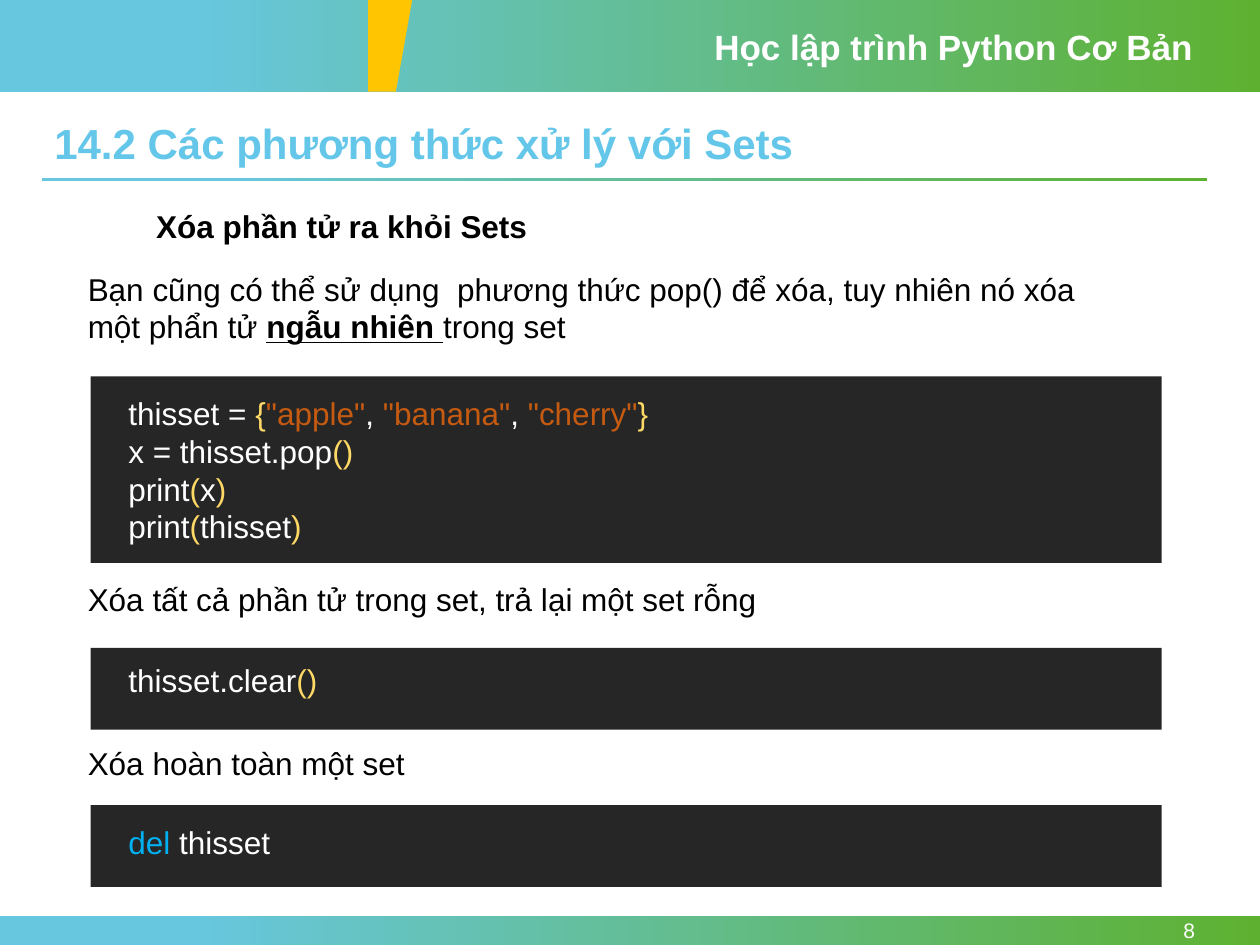
from dataclasses import dataclass

from pptx import Presentation
from pptx.dml.color import RGBColor
from pptx.enum.shapes import MSO_SHAPE
from pptx.enum.text import MSO_ANCHOR, MSO_AUTO_SIZE, PP_ALIGN
from pptx.util import Cm, Pt

RECTANGLE = MSO_SHAPE.RECTANGLE
TOP, MIDDLE = MSO_ANCHOR.TOP, MSO_ANCHOR.MIDDLE
LEFT, RIGHT = PP_ALIGN.LEFT, PP_ALIGN.RIGHT
GROW, FIXED = MSO_AUTO_SIZE.SHAPE_TO_FIT_TEXT, MSO_AUTO_SIZE.NONE
TITLE_ONLY = 5


@dataclass(frozen=True)
class Theme:
    font: str = "Arial"
    white: str = "FFFFFF"
    black: str = "000000"
    panel: str = "262626"
    accent: str = "FFC500"
    heading: str = "64C7E9"
    gradient: tuple = ((0.15, "67C7DF"), (1, "5EB130"))
    bracket: str = "FFD966"
    string: str = "C55A11"
    keyword: str = "00B0F0"
    heading_size: int = 24
    course_size: int = 20
    body_size: int = 18
    number_size: int = 12


class SlideBuilder:
    """Draws styled elements on the current slide, with lengths in centimetres."""

    def __init__(self, presentation, theme):
        self.theme = theme
        self.slide = presentation.slides.add_slide(presentation.slide_layouts[TITLE_ONLY])

    def clean(self, shape):
        shape.shadow.inherit = False
        shape.line.fill.background()

    def solid(self, shape, color):
        self.clean(shape)
        shape.fill.solid()
        shape.fill.fore_color.rgb = RGBColor.from_string(color)

    def rectangle(self, box):
        return self.slide.shapes.add_shape(RECTANGLE, *map(Cm, box))

    def band(self, box):
        shape = self.rectangle(box)
        self.clean(shape)
        shape.fill.gradient()
        shape.fill.gradient_angle = 0
        for stop, (position, color) in zip(shape.fill.gradient_stops, self.theme.gradient):
            stop.position = position
            stop.color.rgb = RGBColor.from_string(color)

    def polygon(self, points, color):
        start, *others = [(Cm(x), Cm(y)) for x, y in points]
        builder = self.slide.shapes.build_freeform(*start)
        builder.add_line_segments(others)
        self.solid(builder.convert_to_shape(), color)

    def fill_text(self, shape, lines, size, color, frame_format, paragraph_format, bold=False):
        frame = shape.text_frame
        for name, value in frame_format.items():
            setattr(frame, name, value)
        for index, line in enumerate(lines):
            paragraph = frame.add_paragraph() if index else frame.paragraphs[0]
            for name, value in paragraph_format.items():
                setattr(paragraph, name, value)
            for text, changes in line:
                run = paragraph.add_run()
                run.text = text
                values = {"name": self.theme.font, "size": Pt(size), "bold": bold} | changes
                run.font.color.rgb = RGBColor.from_string(values.pop("color", color))
                for name, value in values.items():
                    setattr(run.font, name, value)

    def title(self, box, text):
        shape = self.slide.shapes.title
        shape.left, shape.top, shape.width, shape.height = map(Cm, box)
        self.fill_text(shape, [[(text, {})]], self.theme.heading_size, self.theme.heading,
                       {"word_wrap": True, "auto_size": FIXED, "vertical_anchor": TOP},
                       {"alignment": LEFT, "line_spacing": 0.9}, bold=True)

    def text(self, box, lines, size=None, color=None, bold=False,
             anchor=TOP, align=LEFT, fit=GROW):
        shape = self.slide.shapes.add_textbox(*map(Cm, box))
        self.fill_text(shape, lines, size or self.theme.body_size, color or self.theme.black,
                       {"word_wrap": True, "auto_size": fit, "vertical_anchor": anchor},
                       {"alignment": align}, bold)

    def code(self, top, height, text_top, text_height, lines):
        self.solid(self.rectangle((1.83, top, 21.59, height)), self.theme.panel)
        self.text((2.34, text_top, 20.57, text_height), lines, color=self.theme.white)


def main():
    presentation = Presentation()
    presentation.slide_width, presentation.slide_height = Cm(25.4), Cm(19.05)
    theme = Theme()
    builder = SlideBuilder(presentation, theme)

    plain = {}
    bracket = {"color": theme.bracket}
    string = {"color": theme.string}
    keyword = {"color": theme.keyword}
    stressed = {"bold": True, "underline": True}

    for box in ((0, 0, 25.4, 1.85), (0, 18.47, 25.4, 0.58), (0.84, 3.58, 23.5, 0.08)):
        builder.band(box)
    builder.polygon([(7.42, 0), (8.31, 0), (7.98, 1.85), (7.42, 1.85)], theme.accent)
    builder.text((14.15, 0.38, 10.16, 1.12), [[("Học lập trình Python Cơ Bản", plain)]],
                 theme.course_size, theme.white, bold=True)
    builder.text((22, 18.47, 2.34, 0.58), [[("8", plain)]], theme.number_size,
                 theme.white, anchor=MIDDLE, align=RIGHT, fit=FIXED)

    builder.title((0.84, 2.36, 23.5, 1.17), "14.2 Các phương thức xử lý với Sets")
    builder.text((2.9, 4.04, 17.86, 1.02), [[("Xóa phần tử ra khỏi Sets", plain)]], bold=True)

    explanations = (
        (5.31, 1.8, [
            ("Bạn cũng có thể sử dụng  phương thức pop() để xóa, "
             "tuy nhiên nó xóa một phẩn tử ", plain),
            ("ngẫu nhiên ", stressed),
            ("trong set", plain)]),
        (11.56, 1.02, [("Xóa tất cả phần tử trong set, trả lại một set rỗng", plain)]),
        (14.88, 1.02, [("Xóa hoàn toàn một set", plain)]),
    )
    for top, height, line in explanations:
        builder.text((1.52, top, 21.13, height), [line])

    pop_example = [
        [("thisset = ", plain), ("{", bracket), ('"apple"', string), (", ", plain),
         ('"banana"', string), (", ", plain), ('"cherry"', string), ("}", bracket)],
        [("x = thisset.pop", plain), ("()", bracket)],
    ] + [[("print", plain), ("(", bracket), (name, plain), (")", bracket)]
         for name in ("x", "thisset")]
    builder.code(7.59, 3.76, 7.82, 3.33, pop_example)
    builder.code(13.06, 1.65, 13.21, 1.02, [[("thisset.clear", plain), ("()", bracket)]])
    builder.code(16.23, 1.65, 16.46, 1.02, [[("del ", keyword), ("thisset", plain)]])

    presentation.save("out.pptx")


if __name__ == "__main__":
    main()
